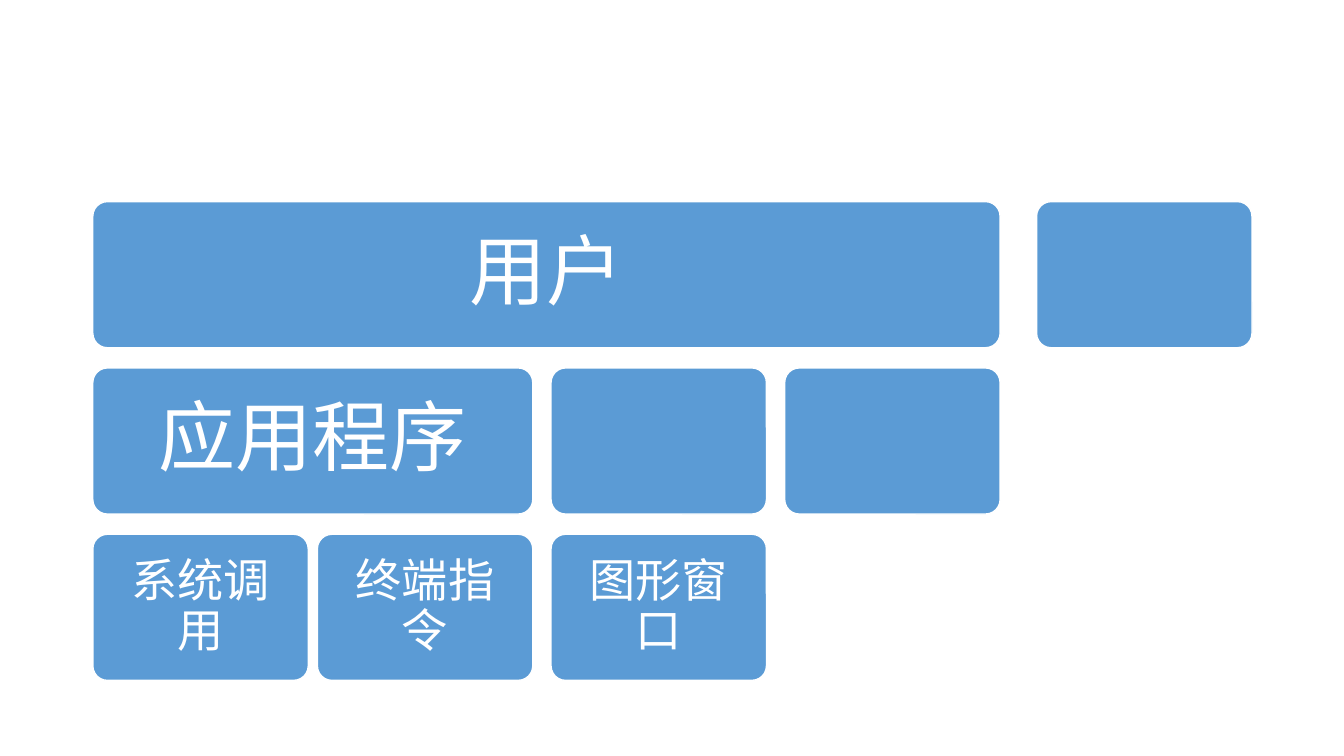
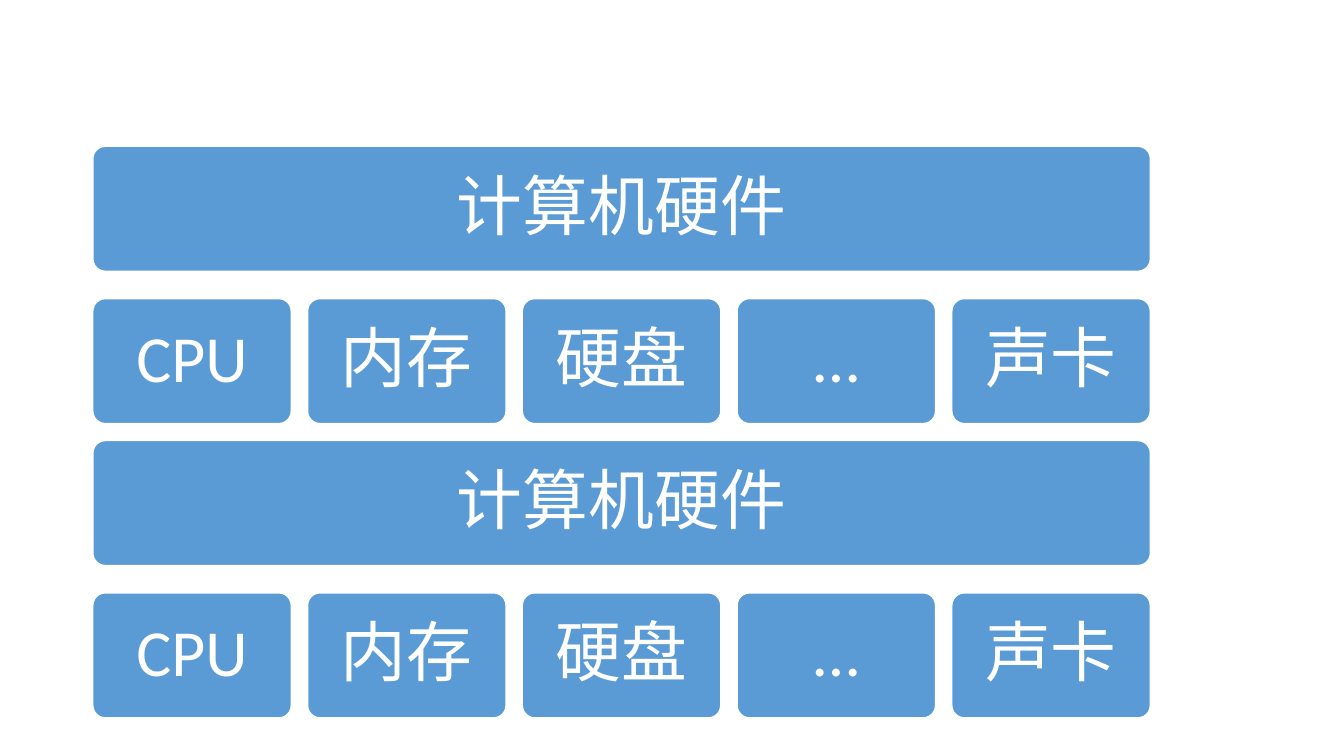
from itertools import accumulate
from lxml.etree import SubElement
from pptx import Presentation
from pptx.dml.color import RGBColor
from pptx.enum.shapes import MSO_SHAPE
from pptx.enum.text import MSO_ANCHOR, PP_ALIGN
from pptx.oxml.ns import qn
from pptx.util import Pt

BLUE = RGBColor(0x5B, 0x9B, 0xD5)
WHITE = RGBColor(0xFF, 0xFF, 0xFF)


class BlockDeck:
    font = "Calibri"
    left = 66.3

    def __init__(self):
        self.deck = Presentation()
        self.deck.slide_width = Pt(960)
        self.deck.slide_height = Pt(540)
        self.slide = None
        self.blocks = None

    def add_slide(self):
        self.slide = self.deck.slides.add_slide(self.deck.slide_layouts[6])

    def start_diagram(self):
        self.blocks = self.slide.shapes.add_group_shape().shapes

    def add_block(self, left, top, width, height, label, size, inset):
        block = self.blocks.add_shape(
            MSO_SHAPE.ROUNDED_RECTANGLE, Pt(left), Pt(top), Pt(width), Pt(height))
        block.adjustments[0] = 0.1
        block.shadow.inherit = False
        block.fill.solid()
        block.fill.fore_color.rgb = BLUE
        block.line.color.rgb = WHITE
        block.line.width = Pt(1)
        if label:
            self.write_label(block.text_frame, label, size, inset)

    def write_label(self, frame, label, size, inset):
        frame.text = label
        frame.word_wrap = True
        frame.vertical_anchor = MSO_ANCHOR.MIDDLE
        frame.margin_left = frame.margin_right = Pt(inset)
        frame.margin_top = frame.margin_bottom = Pt(inset)
        paragraph = frame.paragraphs[0]
        paragraph.alignment = PP_ALIGN.CENTER
        paragraph.line_spacing = 0.9
        space_after = SubElement(paragraph._p.get_or_add_pPr(), qn("a:spcAft"))
        SubElement(space_after, qn("a:spcPct"), val="35000")
        font = paragraph.runs[0].font
        font.name = self.font
        font.size = Pt(size)
        font.color.rgb = WHITE

    def add_rows(self, rows, columns, column_width, top, height, pitch):
        for row, (size, inset, cells) in enumerate(rows):
            for first, last, label in cells:
                width = columns[last] + column_width - columns[first]
                self.add_block(columns[first], top + row * pitch, width, height,
                               label, size, inset)


SYSTEM_ROWS = [
    (55, 16.5, [(0, 3, "用户"), (4, 4, "")]),
    (55, 16.5, [(0, 1, "应用程序"), (2, 2, ""), (3, 3, "")]),
    (33, 10, [(0, 0, "系统调用"), (1, 1, "终端指令"), (2, 2, "图形窗口")]),
]
PARTS = ["CPU", "内存", "硬盘", "…", "声卡"]
HARDWARE_ROWS = [
    (47, 14.1, [(0, 4, "计算机硬件")]),
    (47, 14.1, [(column, column, part) for column, part in enumerate(PARTS)]),
]

layers = BlockDeck()

layers.add_slide()
layers.start_diagram()
SYSTEM_WIDTH = 153.9
SYSTEM_GAPS = [6.5, 13, 13, 26]
system_columns = list(accumulate(
    SYSTEM_GAPS, lambda left, gap: left + SYSTEM_WIDTH + gap, initial=layers.left))
layers.add_rows(SYSTEM_ROWS, system_columns, SYSTEM_WIDTH, 144, 104.4, 118.8)

layers.add_slide()
HARDWARE_WIDTH = 141.8
HARDWARE_PITCH = 153.4
hardware_columns = [layers.left + column * HARDWARE_PITCH for column in range(len(PARTS))]
for diagram_top in (314.7, 104.5):
    layers.start_diagram()
    layers.add_rows(HARDWARE_ROWS, hardware_columns, HARDWARE_WIDTH,
                    diagram_top, 89.3, 108.8)

layers.deck.save("out.pptx")
